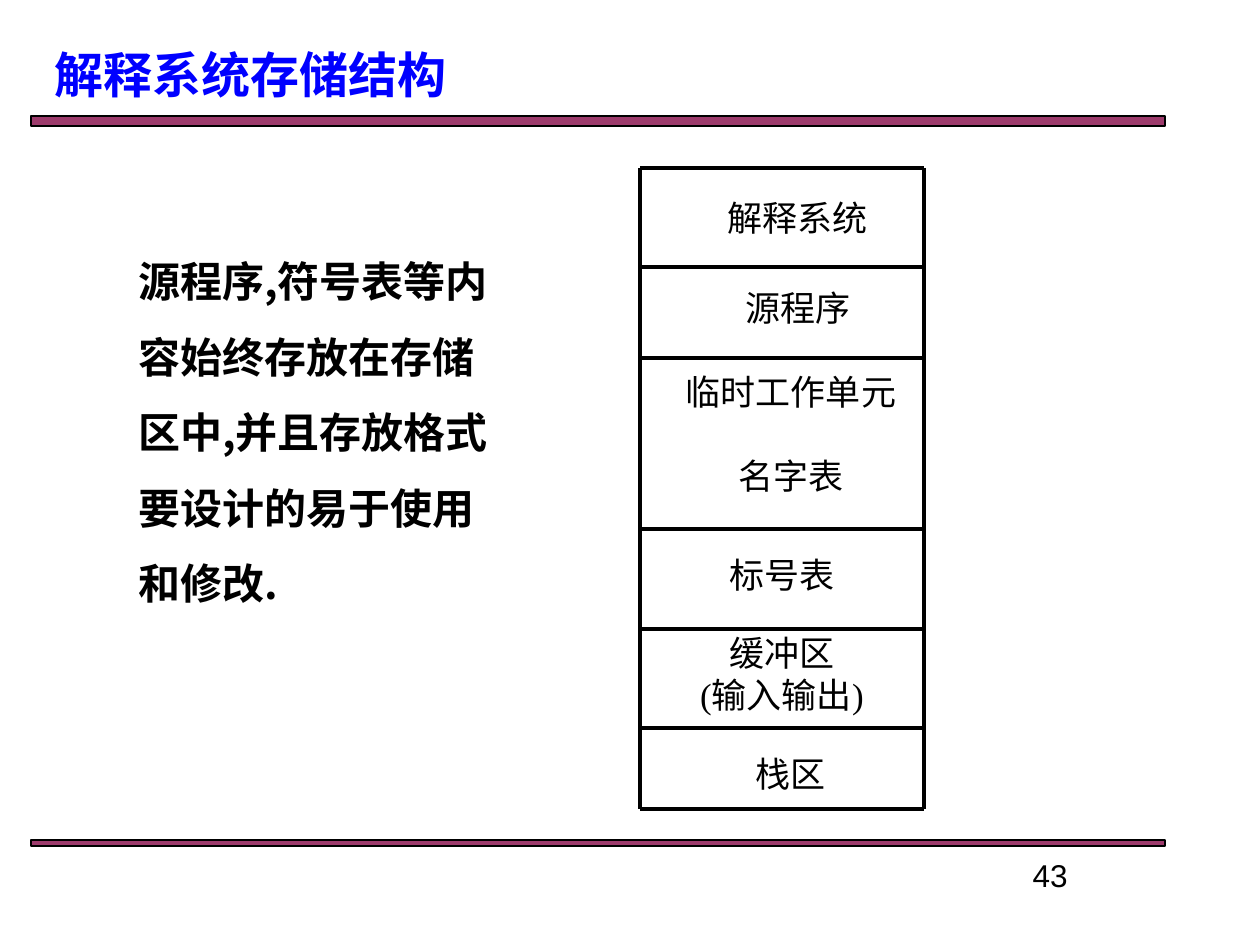
"""Build the slide on the storage layout of an interpreter system."""
from dataclasses import dataclass

import lxml.etree
import pptx
import pptx.dml.color
import pptx.enum.shapes
import pptx.enum.text
import pptx.oxml.ns
import pptx.util

SCALE = 914400 / 126
COLORS = {"title": "0000FF", "bar": "993366", "ink": "000000", "paper": "FFFFFF"}
CJK = "Noto Sans CJK SC"
LEFT, RIGHT = 640, 924
ROW_EDGES = (168, 267, 358, 529, 629, 728, 809)
ALIGN = pptx.enum.text.PP_ALIGN
ANCHOR = pptx.enum.text.MSO_ANCHOR
RECTANGLE = pptx.enum.shapes.MSO_SHAPE.RECTANGLE


@dataclass
class Box:
    x: int
    y: int
    w: int
    h: int


@dataclass
class Label:
    box: Box
    lines: tuple[str, ...]
    gap: int = 0


@dataclass
class Style:
    size: int
    font: str
    color: str = "ink"
    bold: bool = False
    align: ALIGN = ALIGN.CENTER


BARS = (Box(31, 116, 1134, 10), Box(31, 840, 1134, 6))
LABELS = (
    Label(Box(748, 195, 100, 45), ("解释系统",)),
    Label(Box(748, 285, 100, 45), ("源程序",)),
    Label(Box(741, 375, 100, 117), ("临时工作单元", "名字表"), gap=24),
    Label(Box(732, 547, 100, 54), ("标号表",)),
    Label(Box(732, 646, 100, 54), ("缓冲区", "(输入输出)")),
    Label(Box(741, 755, 100, 36), ("栈区",)),
)


def px(n: int) -> pptx.util.Emu:
    return pptx.util.Emu(round(n * SCALE))


def place(box: Box) -> tuple:
    return px(box.x), px(box.y), px(box.w), px(box.h)


def rgb(name: str) -> pptx.dml.color.RGBColor:
    return pptx.dml.color.RGBColor.from_string(COLORS[name])


def add_child(parent, tag: str, **attrs: str) -> None:
    lxml.etree.SubElement(parent, pptx.oxml.ns.qn(tag), **attrs)


def style_paragraph(p, style: Style) -> None:
    p.alignment = style.align
    f = p.font
    f.size = pptx.util.Pt(style.size)
    f.bold = style.bold
    f.color.rgb = rgb(style.color)
    f.name = style.font
    if style.font == CJK:
        add_child(p._p.pPr.find(pptx.oxml.ns.qn("a:defRPr")), "a:ea", typeface=CJK)


def add_rect(s, box: Box, fill: str, line: str, width: float):
    sp = s.shapes.add_shape(RECTANGLE, *place(box))
    sp.shadow.inherit = False
    sp.fill.solid()
    sp.fill.fore_color.rgb = rgb(fill)
    sp.line.color.rgb = rgb(line)
    sp.line.width = pptx.util.Pt(width)
    return sp


def add_bar(s, box: Box) -> None:
    sp = add_rect(s, box, "bar", "ink", 0.75)
    color = sp._element.spPr.find(pptx.oxml.ns.qn("a:solidFill"))[0]
    add_child(color, "a:alpha", val="96000")


def add_line(s, x1: int, y1: int, x2: int, y2: int) -> None:
    straight = pptx.enum.shapes.MSO_CONNECTOR.STRAIGHT
    line = s.shapes.add_connector(straight, px(x1), px(y1), px(x2), px(y2))
    line.line.color.rgb = rgb("ink")
    line.line.width = pptx.util.Pt(2.25)
    add_child(line._element.spPr, "a:effectLst")


def add_label(s, label: Label) -> None:
    tf = add_rect(s, label.box, "paper", "paper", 2.25).text_frame
    tf.word_wrap = False
    tf.vertical_anchor = ANCHOR.MIDDLE
    for i, text in enumerate(label.lines):
        p = tf.add_paragraph() if i else tf.paragraphs[0]
        p.text = text
        p.line_spacing = pptx.util.Pt(24)
        if i and label.gap:
            p.space_before = pptx.util.Pt(label.gap)
        style_paragraph(p, Style(20, "Times New Roman"))


def add_text(s, box: Box, text: str, style: Style):
    tf = s.shapes.add_textbox(*place(box)).text_frame
    tf.word_wrap = True
    p = tf.paragraphs[0]
    p.text = text
    style_paragraph(p, style)
    return p


def set_title(s, box: Box, text: str) -> None:
    sp = s.shapes.title
    sp.left, sp.top, sp.width, sp.height = place(box)
    tf = sp.text_frame
    tf.text = text
    tf.vertical_anchor = ANCHOR.MIDDLE
    tf.auto_size = pptx.enum.text.MSO_AUTO_SIZE.NONE
    style_paragraph(tf.paragraphs[0], Style(28, CJK, "title", True, ALIGN.LEFT))


def main() -> None:
    prs = pptx.Presentation()
    prs.slide_width, prs.slide_height = px(1260), px(945)
    s = prs.slides.add_slide(prs.slide_layouts[5])
    for bar in BARS:
        add_bar(s, bar)
    set_title(s, Box(42, 32, 1029, 84), "解释系统存储结构")
    for x in (LEFT, RIGHT):
        add_line(s, x, ROW_EDGES[0], x, ROW_EDGES[-1])
    for y in ROW_EDGES:
        add_line(s, LEFT, y, RIGHT, y)
    for label in LABELS:
        add_label(s, label)
    body = add_text(
        s,
        Box(126, 224, 392, 394),
        "源程序,符号表等内容始终存放在存储区中,并且存放格式要设计的易于使用和修改.",
        Style(24, CJK, bold=True, align=ALIGN.LEFT),
    )
    body.line_spacing = pptx.util.Pt(43.2)
    add_text(s, Box(903, 850, 294, 53), "43", Style(18, "Arial"))
    prs.save("out.pptx")


if __name__ == "__main__":
    main()
